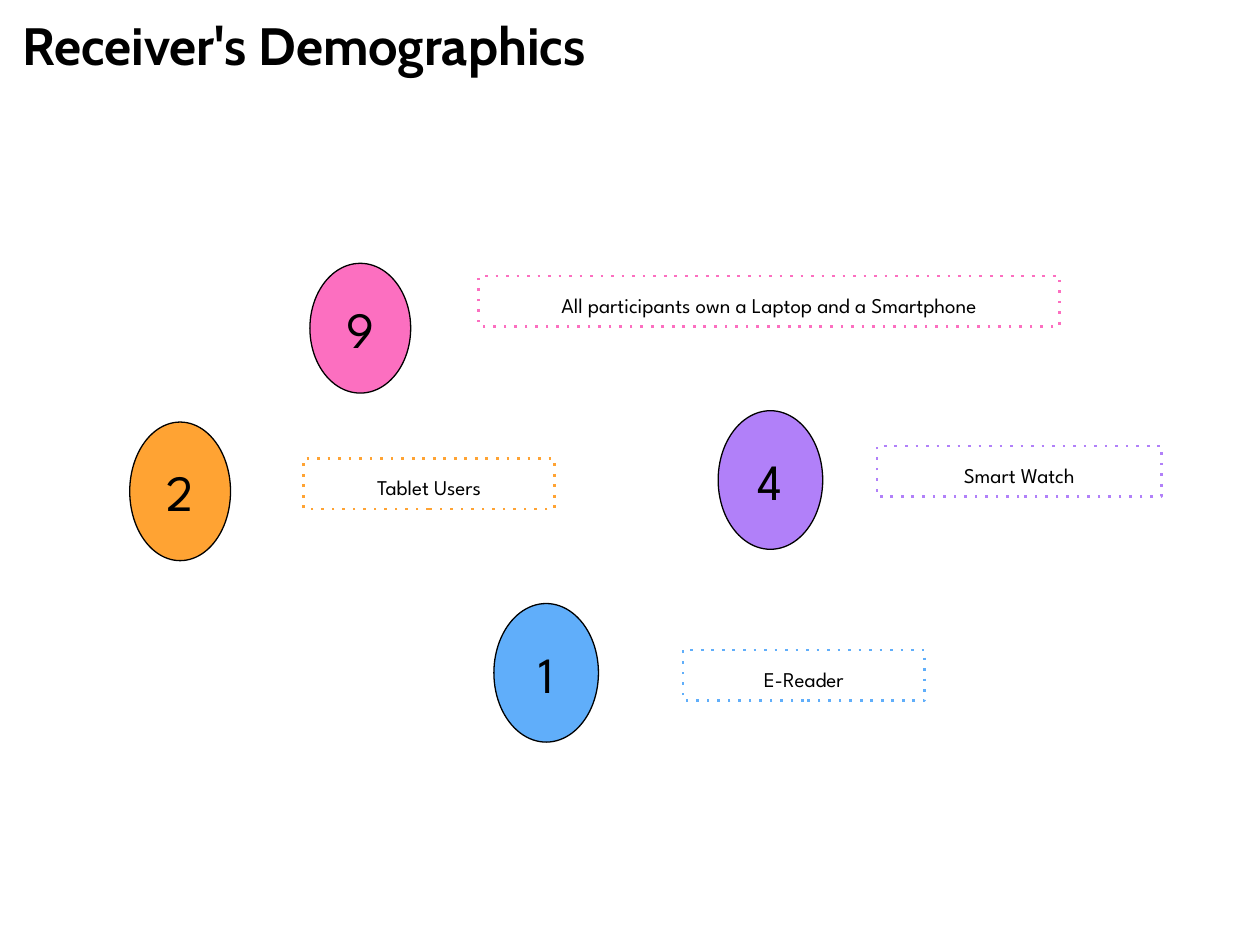
from dataclasses import dataclass

from pptx import Presentation
from pptx.dml.color import RGBColor
from pptx.enum.dml import MSO_LINE
from pptx.enum.shapes import MSO_SHAPE
from pptx.enum.text import MSO_ANCHOR, PP_ALIGN
from pptx.oxml.ns import qn
from pptx.util import Inches, Pt


@dataclass(frozen=True)
class Theme:
    ink: str = "000000"
    pink: str = "FC6FC0"
    orange: str = "FFA333"
    blue: str = "60AEFA"
    violet: str = "B180F9"
    head: str = "Cabin"
    body: str = "League Spartan"
    title: int = 30
    count: int = 29
    label: int = 12


THEME = Theme()
CELL = 0.1  # the slide is a grid of 100 columns by 75 rows
COLS, ROWS = 100, 75


def grid(*cells):
    return [Inches(cell * CELL) for cell in cells]


def style(target, values):
    for name, value in values.items():
        setattr(target, name, value)


def write(shape, text, font, para, anchor):
    frame = shape.text_frame
    edges = ("left", "top", "right", "bottom")
    style(frame, {f"margin_{edge}": Inches(0.1) for edge in edges})
    style(frame, {"word_wrap": True, "vertical_anchor": anchor})
    first = frame.paragraphs[0]
    style(first, para)
    run = first.add_run()
    run.text = text
    style(run.font, font)
    run.font.color.rgb = RGBColor.from_string(THEME.ink)


def draw(slide, kind, box, line, width):
    shape = slide.shapes.add_shape(kind, *grid(*box))
    shape.shadow.inherit = False
    shape.line.color.rgb = RGBColor.from_string(line)
    shape.line.width = Pt(width)
    return shape


def heading(slide, box, text):
    shape = slide.shapes.add_textbox(*grid(*box))
    font = {"name": THEME.head, "size": Pt(THEME.title), "bold": True}
    write(shape, text, font, {"alignment": PP_ALIGN.LEFT}, MSO_ANCHOR.TOP)


def device(slide, box, color, count, text, oval, label, drop):
    """Oval at the left edge of the box, label at its right edge."""
    left, top, width, height = box

    # Number of users
    disc = draw(slide, MSO_SHAPE.OVAL, (left, top, oval, height), THEME.ink, 0.75)
    disc.fill.solid()
    disc.fill.fore_color.rgb = RGBColor.from_string(color)
    font = {"name": THEME.body, "size": Pt(THEME.count)}
    write(disc, count, font, {"alignment": PP_ALIGN.CENTER}, MSO_ANCHOR.MIDDLE)

    # Dotted label
    place = (left + width - label, top + drop, label, 4)
    tag = draw(slide, MSO_SHAPE.RECTANGLE, place, color, 1.5)
    tag.fill.background()
    tag.line.dash_style = MSO_LINE.ROUND_DOT
    for dash in tag.element.iter(qn("a:prstDash")):
        dash.set("val", "dot")
    para = {"alignment": PP_ALIGN.CENTER, "line_spacing": 1.15, "space_after": Pt(12)}
    write(tag, text, {"name": THEME.body, "size": Pt(THEME.label)}, para, MSO_ANCHOR.TOP)


def main():
    deck = Presentation()
    deck.slide_width, deck.slide_height = grid(COLS, ROWS)
    slide = deck.slides.add_slide(deck.slide_layouts[6])

    heading(slide, (0.8, 0, 93.2, 12.3), "Receiver's Demographics")

    # Box, colour, count, label, oval width, label width, label drop
    items = (
        ((24.6, 20.9, 59.5, 10.3), THEME.pink, "9",
         "All participants own a Laptop and a Smartphone", 8, 46.1, 1),
        ((10.3, 33.5, 33.7, 11), THEME.orange, "2", "Tablet Users", 8, 19.9, 2.9),
        ((39.2, 47.9, 34.2, 11), THEME.blue, "1", "E-Reader", 8.3, 19.2, 3.7),
        ((57, 32.6, 35.2, 11), THEME.violet, "4", "Smart Watch", 8.3, 22.6, 2.8),
    )
    for item in items:
        device(slide, *item)

    deck.save("out.pptx")


if __name__ == "__main__":
    main()
